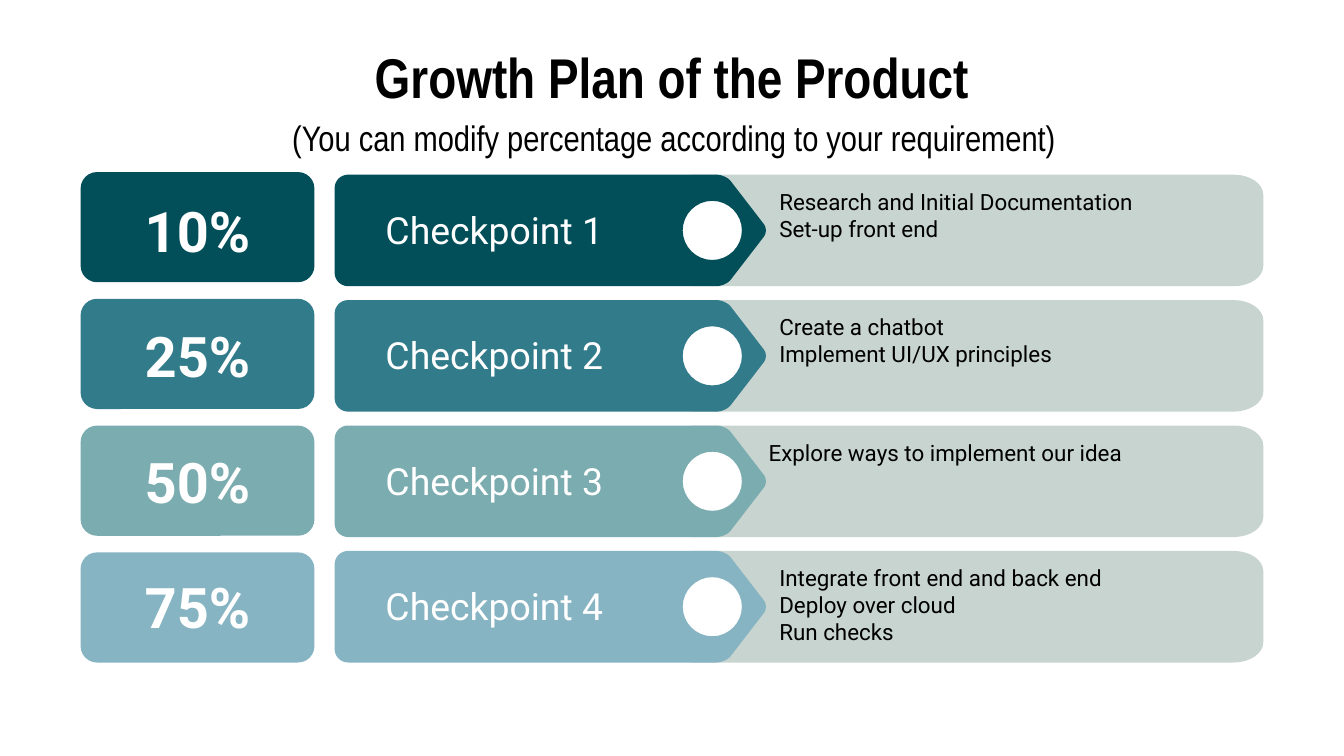
from pptx import Presentation
from pptx.dml.color import RGBColor
from pptx.enum.shapes import MSO_SHAPE
from pptx.enum.text import MSO_ANCHOR, PP_ALIGN
from pptx.util import Inches, Pt

PILL = MSO_SHAPE.ROUNDED_RECTANGLE
TOP = MSO_ANCHOR.TOP
LEFT, CENTER = PP_ALIGN.LEFT, PP_ALIGN.CENTER

COLORS = {"ink": "000000", "white": "FFFFFF", "panel": "C7D4CF",
          "deep": "024F59", "teal": "327B8A", "sage": "7BACB0", "sky": "86B4C2"}

# Percent, colour, left edge of the tasks, tasks
ROWS = [
    ("10%", "deep", 5.7, ["Research and Initial Documentation", "Set-up front end"]),
    ("25%", "teal", 5.7, ["Create a chatbot", "Implement UI/UX principles"]),
    ("50%", "sage", 5.62, ["Explore ways to implement our idea"]),
    ("75%", "sky", 5.7, ["Integrate front end and back end", "Deploy over cloud",
                         "Run checks"]),
]
FIRST, LAST = 1.3, 4.1
HIGH = 0.83
STEPS = 8


def paint(shape, color):
    shape.shadow.inherit = False
    shape.fill.solid()
    shape.fill.fore_color.rgb = RGBColor.from_string(COLORS[color])
    shape.line.fill.background()


def write(slide, box, lines, size=12, font="Roboto", color="ink", bold=False,
          align=LEFT):
    frame = slide.shapes.add_textbox(*map(Inches, box)).text_frame
    frame.word_wrap = True
    frame.vertical_anchor = TOP
    frame.margin_left = frame.margin_right = Inches(0.1)
    frame.margin_top = frame.margin_bottom = Inches(0.1)
    for i, line in enumerate(lines):
        para = frame.paragraphs[0] if i == 0 else frame.add_paragraph()
        para.alignment = align
        run = para.add_run()
        run.text = line
        run.font.size = Pt(size)
        run.font.name = font
        run.font.bold = bold
        run.font.color.rgb = RGBColor.from_string(COLORS[color])


def toward(start, end, cut):
    """Point that lies a given length from start on the way to end."""
    dx, dy = end[0] - start[0], end[1] - start[1]
    part = cut / (dx * dx + dy * dy) ** 0.5
    return start[0] + dx * part, start[1] + dy * part


def soften(corners):
    """Round each corner (x, y, cut before, cut after) with a cubic curve."""
    points = []
    for i, (x, y, before, after) in enumerate(corners):
        a, d = (x, y), (x, y)
        if before:
            a = toward((x, y), corners[i - 1], before)
            d = toward((x, y), corners[(i + 1) % len(corners)], after)
        b = [p + 0.55 * (q - p) for p, q in zip(a, (x, y))]
        c = [p + 0.55 * (q - p) for p, q in zip(d, (x, y))]
        for t in [n / STEPS for n in range(STEPS + 1)] if before else [0]:
            s = 1 - t
            points.append(tuple(
                s**3 * a[k] + 3 * s * s * t * b[k] + 3 * s * t * t * c[k] + t**3 * d[k]
                for k in (0, 1)))
    return points


def outline(slide, left, top, color, *loops):
    """Filled outline; loops after the first are holes."""
    pen = None
    for loop in loops:
        points = [(Inches(left + x), Inches(top + y)) for x, y in soften(loop)]
        if pen is None:
            pen = slide.shapes.build_freeform(*points[0])
        else:
            pen.move_to(*points[0])
        pen.add_line_segments(points[1:], close=True)
    paint(pen.convert_to_shape(), color)


def panel(slide, left, top, wide, high):
    outline(slide, left, top, "panel", [
        (0, 0, 0, 0), (wide, 0, 0.22, 0.15), (wide, high, 0.15, 0.22),
        (0, high, 0, 0), (0.12, high - 0.04, 0, 0),
        (0.51, high / 2, 0.06, 0.06), (0.12, 0.04, 0, 0)])


def arrow(slide, left, top, wide, high, color):
    mid, neck, rad = high / 2, wide - 0.3, 0.22
    hub = wide - 0.4
    body = [(0, 0, 0.1, 0.1), (neck, 0, 0.07, 0.06),
            (wide + 0.02, mid, 0.06, 0.06), (neck, high, 0.06, 0.07),
            (0, high, 0.1, 0.1)]
    hole = [(hub + sx * rad, mid + sy * rad, rad, rad)
            for sx, sy in ((-1, -1), (1, -1), (1, 1), (-1, 1))]
    outline(slide, left, top, color, body, hole)


def header(slide):
    write(slide, (2.53, 0.22, 4.94, 0.68), ["Growth Plan of the Product"],
          size=30, font="Arial Narrow", bold=True, align=CENTER)
    write(slide, (1.95, 0.76, 6.13, 0.68),
          ["(You can modify percentage according to your requirement)"],
          size=19, font="Arial Narrow", align=CENTER)


def row(slide, left, top, number, share, color, indent, tasks):
    # Task panel and arrow
    panel(slide, left + 4.54, top, 4.26, HIGH)
    arrow(slide, left + 1.89, top, 3.21, HIGH, color)
    # Percent pill, whose pitch is slightly larger than that of the arrows
    lift = 0.03 - 0.01 * number
    pill = slide.shapes.add_shape(PILL, Inches(left), Inches(top - lift),
                                  Inches(1.74), Inches(0.82))
    pill.adjustments[0] = 0.15
    paint(pill, color)
    # Labels
    write(slide, (left + 2.17, top + 0.14, 2.24, 0.32), [f"Checkpoint {number}"],
          size=20, color="white")
    write(slide, (indent, top, 3.55, 0.82), tasks)
    write(slide, (left, top + 0.06, 1.74, 0.51), [share], size=30, color="white",
          bold=True, align=CENTER)


def main():
    deck = Presentation()
    deck.slide_width = Inches(10)
    deck.slide_height = deck.slide_width * 9 // 16
    slide = deck.slides.add_slide(deck.slide_layouts[6])
    header(slide)
    pitch = (LAST - FIRST) / (len(ROWS) - 1)
    for i, parts in enumerate(ROWS):
        row(slide, 0.6, FIRST + i * pitch, i + 1, *parts)
    deck.save("out.pptx")


if __name__ == "__main__":
    main()
